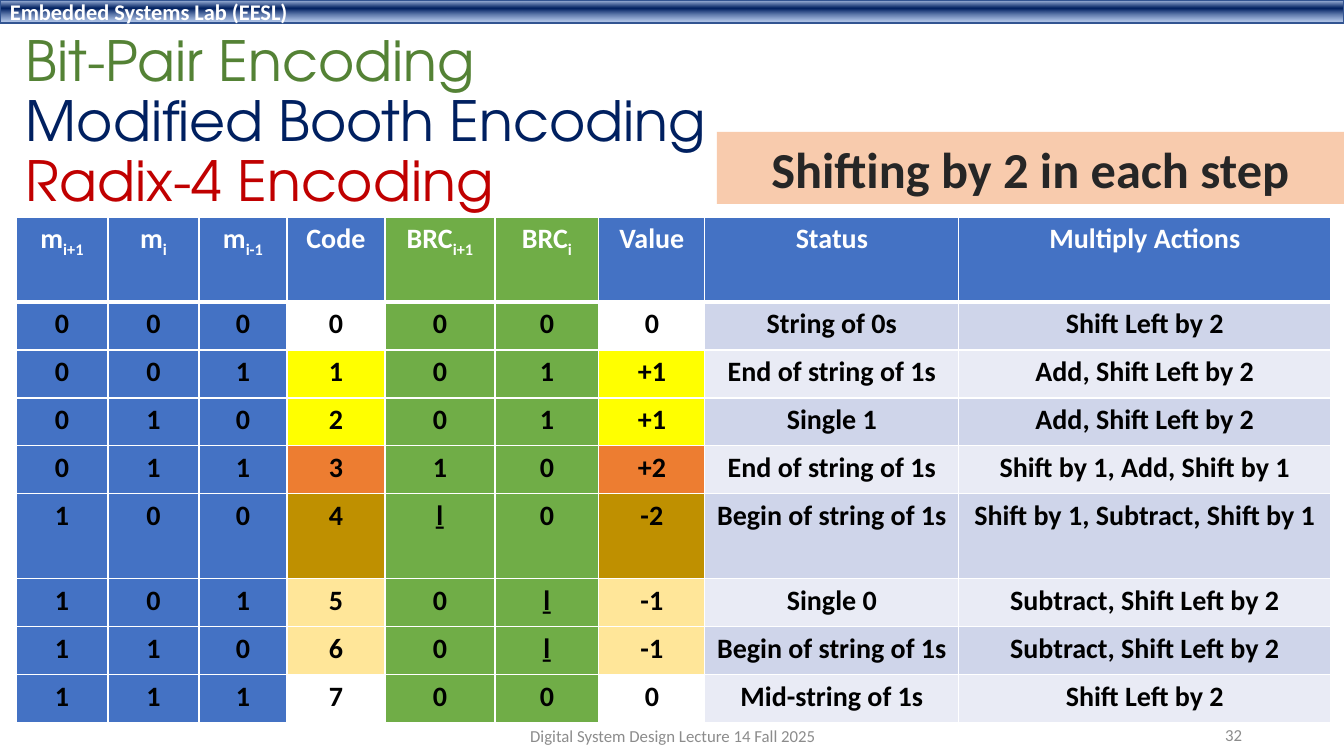
"""Build the slide on bit-pair (modified Booth, radix-4) encoding."""
from dataclasses import dataclass

from pptx import Presentation
from pptx.dml.color import RGBColor
from pptx.enum.shapes import MSO_SHAPE as Preset
from pptx.enum.text import MSO_ANCHOR as Anchor, MSO_AUTO_SIZE as AutoSize, PP_ALIGN as Align
from pptx.oxml import parse_xml
from pptx.oxml.ns import nsdecls
from pptx.slide import Slide
from pptx.table import _Cell as Cell
from pptx.text.text import TextFrame, _Run as Run
from pptx.util import Emu, Pt

EMU_PER_PX = 914400 / 100.8


@dataclass(frozen=True)
class Theme:
    body_font: str = "Calibri"
    title_font: str = "TeX Gyre Adventor"
    white: str = "FFFFFF"
    black: str = "000000"
    dark: str = "262626"
    grey: str = "8C8C8C"
    navy: str = "002060"
    title_green: str = "548235"
    title_red: str = "C00000"
    bar_line: str = "325491"
    bar_light: str = "ABC0E4"
    bar_pale: str = "7E9ED6"
    blue: str = "4472C4"
    green: str = "70AD47"
    yellow: str = "FFFF00"
    orange: str = "ED7D31"
    gold: str = "BF9000"
    cream: str = "FFE699"
    peach: str = "F8CBAD"
    bands: tuple[str, str] = ("CFD5EA", "E9EBF5")
    title_size: float = 39.6
    banner_size: float = 36
    table_size: float = 20
    bar_size: float = 16
    footer_size: float = 12


THEME = Theme()


@dataclass(frozen=True)
class Box:
    left: int
    top: int
    width: int
    height: int

    def emu(self) -> tuple[Emu, ...]:
        return tuple(map(px, (self.left, self.top, self.width, self.height)))


@dataclass(frozen=True)
class Style:
    size: float
    color: str
    bold: bool = False
    font: str = THEME.body_font


@dataclass(frozen=True)
class Footer:
    box: Box
    text: str
    align: Align


@dataclass(frozen=True)
class Encoding:
    bits: str
    recoded: str
    value: str
    status: str
    action: str
    fill: str
    height: int = 48


TITLE_LINES = {
    "Bit-Pair Encoding": THEME.title_green,
    "Modified Booth Encoding": THEME.navy,
    "Radix-4 Encoding": THEME.title_red,
}
HEADINGS = ["m_i+1", "m_i", "m_i-1", "Code", "BRC_i+1", "BRC_i", "Value", "Status", "Multiply Actions"]
COLUMN_WIDTHS = [92, 91, 88, 98, 110, 104, 106, 254, 372]
HEADING_HEIGHT = 85
BIT_COLUMNS, BRC_COLUMNS, BANDED_COLUMNS = (0, 1, 2), (4, 5), (7, 8)
ENCODINGS = [
    Encoding("000", "00", "0", "String of 0s", "Shift Left by 2", THEME.white),
    Encoding("001", "01", "+1", "End of string of 1s", "Add, Shift Left by 2", THEME.yellow),
    Encoding("010", "01", "+1", "Single 1", "Add, Shift Left by 2", THEME.yellow),
    Encoding("011", "10", "+2", "End of string of 1s", "Shift by 1, Add, Shift by 1", THEME.orange),
    Encoding("100", "ḻ0", "-2", "Begin of string of 1s", "Shift by 1, Subtract, Shift by 1", THEME.gold, 85),
    Encoding("101", "0ḻ", "-1", "Single 0", "Subtract, Shift Left by 2", THEME.cream),
    Encoding("110", "0ḻ", "-1", "Begin of string of 1s", "Subtract, Shift Left by 2", THEME.cream),
    Encoding("111", "00", "0", "Mid-string of 1s", "Shift Left by 2", THEME.white),
]
FOOTERS = [
    Footer(Box(446, 716, 454, 40), "Digital System Design Lecture 14 Fall 2025", Align.CENTER),
    Footer(Box(950, 715, 302, 40), "32", Align.RIGHT),
]


def px(length: int) -> Emu:
    return Emu(round(length * EMU_PER_PX))


def rgb(color: str) -> RGBColor:
    return RGBColor.from_string(color)


def format_run(run: Run, style: Style) -> None:
    run.font.name, run.font.size, run.font.bold = style.font, Pt(style.size), style.bold
    run.font.color.rgb = rgb(style.color)


def write(frame: TextFrame, text: str, style: Style, align: Align) -> None:
    frame.text = text
    frame.word_wrap = True
    frame.vertical_anchor = Anchor.MIDDLE
    frame.paragraphs[0].alignment = align
    for run in frame.paragraphs[0].runs:
        format_run(run, style)


def draw_bar(slide: Slide) -> None:
    bar = slide.shapes.add_shape(Preset.RECTANGLE, *Box(0, 0, 1344, 23).emu())
    bar.shadow.inherit = False
    bar._element.spPr.prstGeom.addnext(parse_xml(
        f'<a:gradFill {nsdecls("a")}><a:gsLst>'
        f'<a:gs pos="2000"><a:srgbClr val="{THEME.bar_light}"/></a:gs>'
        f'<a:gs pos="38000"><a:srgbClr val="{THEME.navy}"/></a:gs>'
        f'<a:gs pos="93000"><a:srgbClr val="{THEME.bar_pale}"><a:alpha val="64000"/></a:srgbClr></a:gs>'
        '</a:gsLst><a:lin ang="5400000" scaled="0"/></a:gradFill>'))
    bar.line.color.rgb = rgb(THEME.bar_line)
    bar.line.width = Pt(1)
    write(bar.text_frame, "Embedded Systems Lab (EESL)", Style(THEME.bar_size, THEME.white, True), Align.LEFT)


def draw_title(slide: Slide) -> None:
    frame = slide.shapes.add_textbox(*Box(16, 32, 1097, 183).emu()).text_frame
    write(frame, "\v".join(TITLE_LINES), Style(THEME.title_size, THEME.navy, font=THEME.title_font), Align.LEFT)
    paragraph = frame.paragraphs[0]
    paragraph.line_spacing = 0.9
    for run, color in zip(paragraph.runs, TITLE_LINES.values()):
        run.font.color.rgb = rgb(color)


def draw_banner(slide: Slide) -> None:
    banner = slide.shapes.add_shape(Preset.RECTANGLE, *Box(717, 132, 627, 72).emu())
    banner.shadow.inherit = False
    banner.fill.solid()
    banner.fill.fore_color.rgb = rgb(THEME.peach)
    banner.line.fill.background()
    write(banner.text_frame, "Shifting by 2 in each step", Style(THEME.banner_size, THEME.dark, True), Align.CENTER)
    banner.text_frame.auto_size = AutoSize.SHAPE_TO_FIT_TEXT
    run = banner.text_frame.paragraphs[0].runs[0]
    run._r.get_or_add_rPr().insert(0, parse_xml(
        f'<a:ln {nsdecls("a")} w="{Pt(1.06)}"><a:solidFill>'
        f'<a:srgbClr val="{THEME.white}"/></a:solidFill></a:ln>'))


def fill_cell(cell: Cell, text: str, style: Style, fill: str, top: int, bottom: int) -> None:
    base, _, subscript = text.partition("_")
    write(cell.text_frame, base, style, Align.CENTER)
    if subscript:
        run = cell.text_frame.paragraphs[0].add_run()
        run.text = subscript
        format_run(run, style)
        run._r.get_or_add_rPr().set("baseline", "-25000")
    cell.vertical_anchor = Anchor.TOP
    cell.margin_left = cell.margin_right = px(8)
    cell.fill.solid()
    cell.fill.fore_color.rgb = rgb(fill)
    borders = {"lnL": 1, "lnR": 1, "lnT": top, "lnB": bottom}
    for index, (side, width) in enumerate(borders.items()):
        cell._tc.get_or_add_tcPr().insert(index, parse_xml(
            f'<a:{side} {nsdecls("a")} w="{Pt(width)}"><a:solidFill>'
            f'<a:srgbClr val="{THEME.white}"/></a:solidFill></a:{side}>'))


def column_fill(column: int, row_fill: str, band_fill: str) -> str:
    if column in BIT_COLUMNS:
        return THEME.blue
    if column in BRC_COLUMNS:
        return THEME.green
    return band_fill if column in BANDED_COLUMNS else row_fill


def draw_table(slide: Slide) -> None:
    heights = [HEADING_HEIGHT, *(encoding.height for encoding in ENCODINGS)]
    box = Box(16, 217, sum(COLUMN_WIDTHS), sum(heights))
    table = slide.shapes.add_table(len(heights), len(COLUMN_WIDTHS), *box.emu()).table
    for column, width in zip(table.columns, COLUMN_WIDTHS):
        column.width = px(width)
    for row, height in zip(table.rows, heights):
        row.height = px(height)
    heading_style = Style(THEME.table_size, THEME.white, True)
    body_style = Style(THEME.table_size, THEME.black, True)
    for column, heading in enumerate(HEADINGS):
        fill = column_fill(column, THEME.blue, THEME.blue)
        fill_cell(table.cell(0, column), heading, heading_style, fill, 1, 3)
    for code, encoding in enumerate(ENCODINGS):
        texts = [*encoding.bits, str(code), *encoding.recoded, encoding.value, encoding.status, encoding.action]
        for column, text in enumerate(texts):
            fill = column_fill(column, encoding.fill, THEME.bands[code % 2])
            fill_cell(table.cell(code + 1, column), text, body_style, fill, 1 if code else 3, 1)


def main() -> None:
    presentation = Presentation()
    presentation.slide_width, presentation.slide_height = px(1344), px(756)
    slide = presentation.slides.add_slide(presentation.slide_layouts[6])
    draw_bar(slide)
    draw_title(slide)
    draw_table(slide)
    draw_banner(slide)
    for footer in FOOTERS:
        frame = slide.shapes.add_textbox(*footer.box.emu()).text_frame
        write(frame, footer.text, Style(THEME.footer_size, THEME.grey), footer.align)
    presentation.save("out.pptx")


if __name__ == "__main__":
    main()
